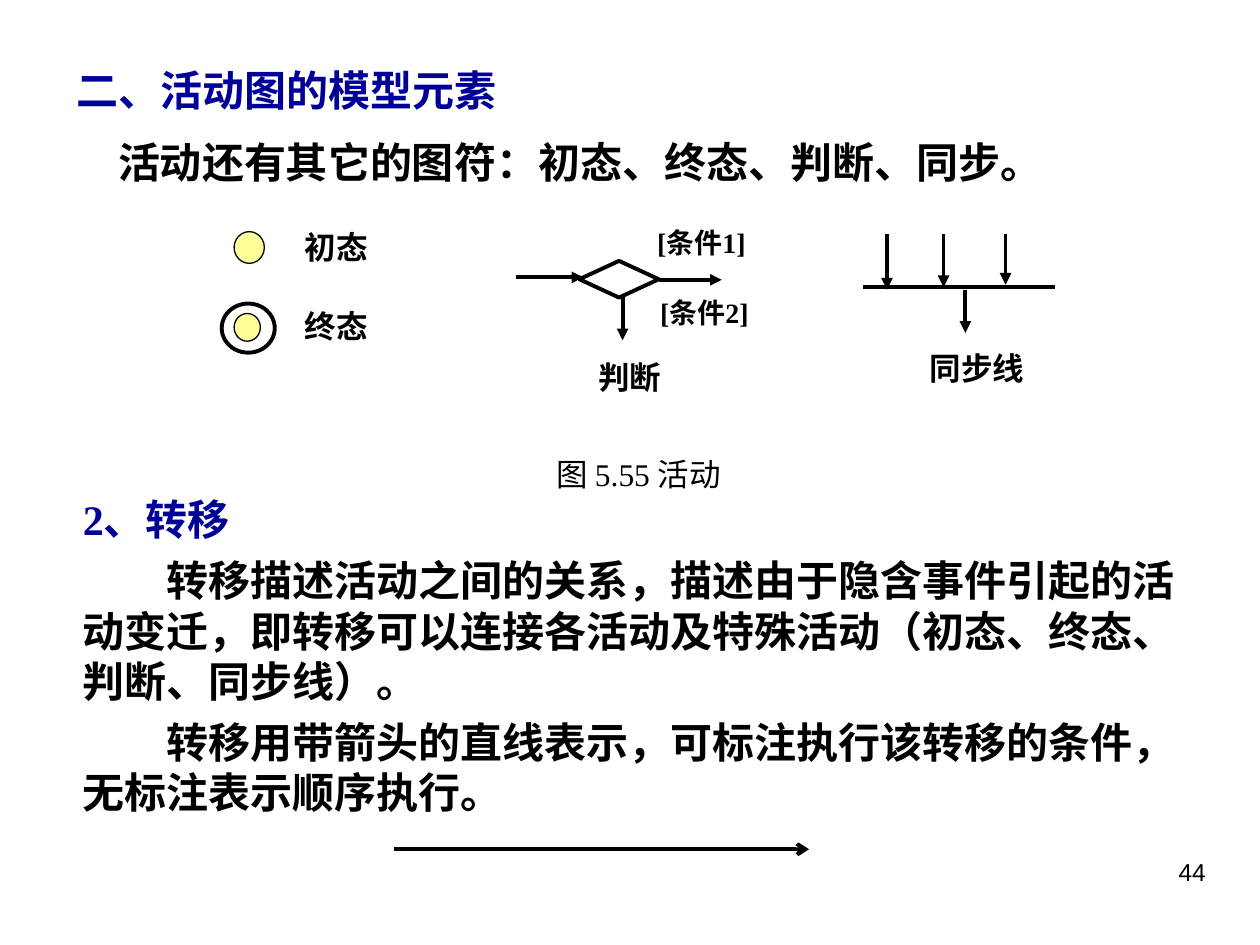
from dataclasses import dataclass

from lxml.etree import SubElement
from pptx import Presentation
from pptx.dml.color import RGBColor as Color
from pptx.enum.shapes import MSO_CONNECTOR as Link, MSO_SHAPE as Preset
from pptx.enum.text import PP_ALIGN as Align
from pptx.oxml.ns import qn
from pptx.util import Cm, Pt


@dataclass(frozen=True)
class Theme:
    ink: Color = Color(0x00, 0x00, 0x00)
    heading: Color = Color(0x00, 0x00, 0x99)
    state: Color = Color(0xFF, 0xFF, 0x99)
    serif: str = "Times New Roman"
    sans: str = "Arial"
    body: int = 24
    label: int = 18
    condition: int = 16
    number: int = 14
    thin: float = 0.75
    thick: float = 2.25


class Painter:
    def __init__(self, page, theme):
        self.page = page
        self.theme = theme

    def text(self, place, *lines, align=Align.LEFT, indent=0, **changes):
        """Write lines; a line is a string or a (string, format changes) pair."""
        box = self.page.shapes.add_textbox(*map(Cm, place))
        frame = box.text_frame
        frame.word_wrap = True
        for index, line in enumerate(lines):
            words, extra = (line, {}) if isinstance(line, str) else line
            para = frame.paragraphs[0] if index == 0 else frame.add_paragraph()
            para.alignment = align
            if index:
                para.space_before = Pt(6)
                para._p.get_or_add_pPr().set("indent", str(Cm(indent)))
            span = para.add_run()
            span.text = words
            look = {"name": self.theme.serif, "size": self.theme.label,
                    "bold": True, "color": self.theme.ink} | changes | extra
            span.font.color.rgb = look.pop("color")
            look["size"] = Pt(look["size"])
            for name, value in look.items():
                setattr(span.font, name, value)

    def shape(self, preset, place, width, fill=None):
        shape = self.page.shapes.add_shape(preset, *map(Cm, place))
        shape.shadow.inherit = False
        if fill is None:
            shape.fill.background()
        else:
            shape.fill.solid()
            shape.fill.fore_color.rgb = fill
        shape.line.color.rgb = self.theme.ink
        shape.line.width = Pt(width)

    def line(self, *ends, head=None):
        link = self.page.shapes.add_connector(Link.STRAIGHT, *map(Cm, ends))
        link.line.color.rgb = self.theme.ink
        link.line.width = Pt(self.theme.thick)
        if head:
            SubElement(link.line._get_or_add_ln(), qn("a:tailEnd"), type=head)
        SubElement(link._element.spPr, qn("a:effectLst"))


def main():
    deck = Presentation()
    deck.slide_width, deck.slide_height = Cm(25.4), Cm(19.05)
    page = deck.slides.add_slide(deck.slide_layouts[6])
    theme = Theme()
    paint = Painter(page, theme)

    # Heading and introduction
    paint.text((1.3, 1.17, 21.41, 1.27), "二、活动图的模型元素",
               size=theme.body, color=theme.heading)
    paint.text((2.13, 2.62, 21.56, 1.27),
               "活动还有其它的图符：初态、终态、判断、同步。", size=theme.body)

    # Initial and final states
    paint.shape(Preset.OVAL, (4.72, 4.67, 0.61, 0.64), theme.thin, theme.state)
    paint.shape(Preset.OVAL, (4.47, 6.12, 1.07, 0.99), theme.thick)
    paint.shape(Preset.OVAL, (4.72, 6.32, 0.53, 0.56), theme.thin, theme.state)
    for top, name in ((4.47, "初态"), (6.07, "终态")):
        paint.text((5.89, top, 2.9, 1.02), name)

    # Decision
    paint.shape(Preset.DIAMOND, (11.68, 5.26, 1.6, 0.74), theme.thick)
    for ends in ((10.41, 5.59, 11.76, 5.59),
                 (13.28, 5.64, 14.55, 5.64),
                 (12.55, 5.94, 12.55, 6.86)):
        paint.line(*ends, head="triangle")
    for left, top, name in ((13.0, 4.42, "[条件1]"), (13.06, 5.84, "[条件2]")):
        paint.text((left, top, 3.07, 0.94), name, size=theme.condition)
    paint.text((11.81, 7.09, 3.23, 1.02), "判断")

    # Synchronisation bar
    paint.line(17.4, 5.79, 21.26, 5.79)
    for x, top, bottom in ((17.88, 4.72, 5.84), (19.02, 4.72, 5.79),
                           (20.27, 4.72, 5.74), (19.46, 5.84, 6.71)):
        paint.line(x, top, x, bottom, head="triangle")
    paint.text((17.98, 6.91, 3.43, 1.02), "同步线", align=Align.CENTER)

    # Figure caption
    paint.text((8.15, 9.04, 9.45, 1.02), "图 5.55 活动",
               align=Align.CENTER, bold=False)

    # Transitions
    paint.text((1.42, 9.83, 22.91, 6.78),
               ("2、转移", {"color": theme.heading}),
               "转移描述活动之间的关系，描述由于隐含事件引起的活动变迁，"
               "即转移可以连接各活动及特殊活动（初态、终态、判断、同步线）。",
               "转移用带箭头的直线表示，可标注执行该转移的条件，无标注表示顺序执行。",
               size=theme.body, indent=1.69)
    paint.line(7.95, 17.12, 16.31, 17.12, head="arrow")

    # Page number
    paint.text((18.21, 17.15, 6.35, 1.32), "44", align=Align.RIGHT,
               name=theme.sans, size=theme.number, bold=False)

    deck.save("out.pptx")


if __name__ == "__main__":
    main()
